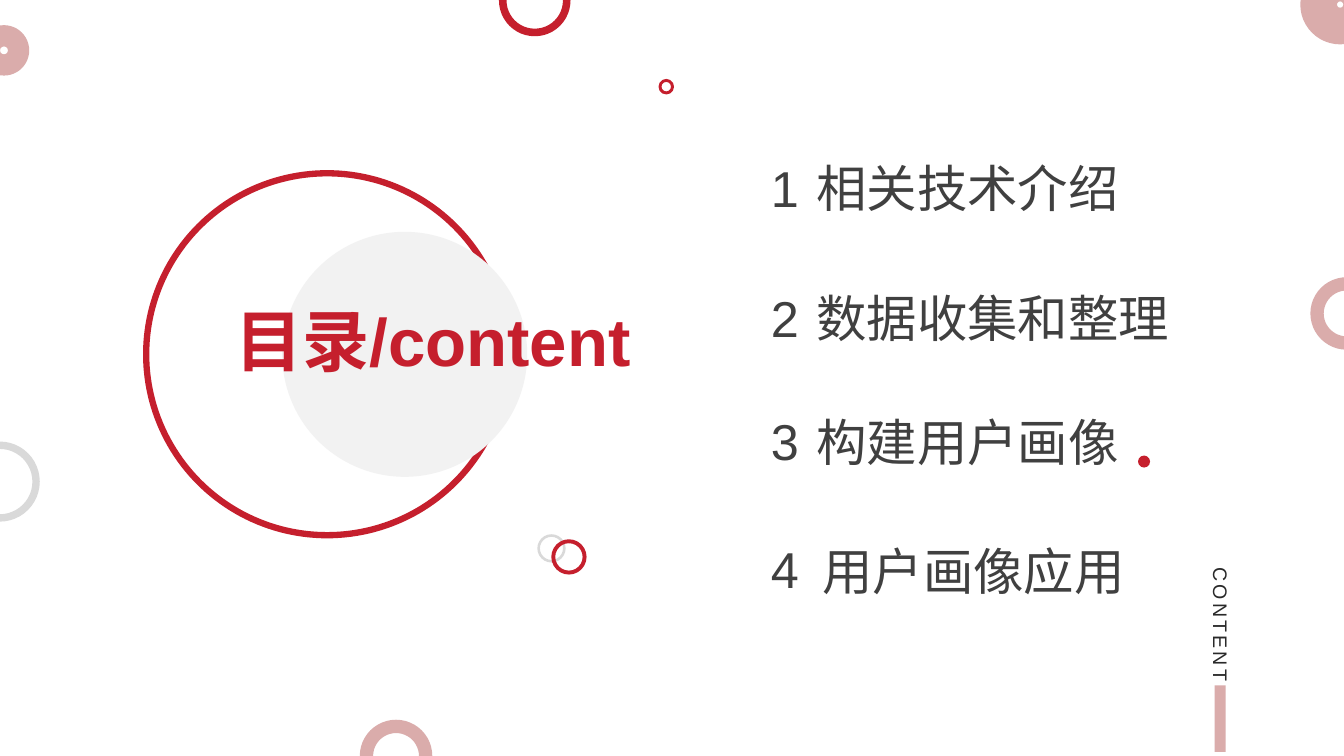
"""Build the table-of-contents slide with its ring decorations."""
from dataclasses import dataclass

from pptx import Presentation
from pptx.dml.color import RGBColor
from pptx.enum.shapes import MSO_SHAPE
from pptx.enum.text import MSO_AUTO_SIZE, PP_ALIGN
from pptx.shapes.autoshape import Shape
from pptx.slide import Slide
from pptx.util import Pt

RED = RGBColor(0xC5, 0x1F, 0x2D)
PINK = RGBColor(0xDA, 0xAC, 0xAB)
GREY = RGBColor(0xD9, 0xD9, 0xD9)
PALE = RGBColor(0xF2, 0xF2, 0xF2)
DARK = RGBColor(0x40, 0x40, 0x40)
INK = RGBColor(0x29, 0x29, 0x29)

ELLIPSE = MSO_SHAPE.OVAL
DONUT = MSO_SHAPE.DONUT
RECTANGLE = MSO_SHAPE.RECTANGLE
CENTER = PP_ALIGN.CENTER
FIT_SHAPE = MSO_AUTO_SIZE.SHAPE_TO_FIT_TEXT

FONT = "Arial"
NUMBER_LEFT = 543.6
ENTRY_HEIGHT = 51.1


@dataclass(frozen=True)
class Entry:
    """One line of the contents list."""
    title: str
    left: float
    top: float
    number_top: float


@dataclass(frozen=True)
class Ring:
    """A decorative ring; thickness is a share of its diameter."""
    left: float
    top: float
    diameter: float
    thickness: float
    color: RGBColor
    outline: float = 0


ENTRIES = [
    Entry("相关技术介绍", 576, 108.7, 108.7),
    Entry("数据收集和整理", 576, 201.6, 201.6),
    Entry("构建用户画像", 576, 290.2, 289.4),
    Entry("用户画像应用", 580.3, 382.3, 380.9),
]

RINGS = [
    Ring(-28.8, 315.4, 57.2, 0.092, GREY),
    Ring(383.8, 381.6, 20.2, 0.092, GREY),
    Ring(393.8, 385.2, 25.2, 0.112, RED),
    Ring(257, 514.1, 51.8, 0.184, PINK),
    Ring(-15.1, 18, 36, 0.421, PINK),
    Ring(356.4, -25.2, 51.1, 0.106, RED),
    Ring(470.9, 56.9, 10.1, 0.112, RED, 1),
    Ring(936, 198, 51.8, 0.184, PINK),
    Ring(928.8, -25.2, 56.9, 0.46, PINK),
]


def add_shape(slide: Slide, kind: MSO_SHAPE, left: float, top: float, width: float,
              height: float, fill: RGBColor | None, outline: float = 0) -> Shape:
    """Add a flat shape, with a red outline when a width is given."""
    shape = slide.shapes.add_shape(kind, Pt(left), Pt(top), Pt(width), Pt(height))
    shape.shadow.inherit = False
    if fill is None:
        shape.fill.background()
    else:
        shape.fill.solid()
        shape.fill.fore_color.rgb = fill
    if outline:
        shape.line.color.rgb = RED
        shape.line.width = Pt(outline)
    else:
        shape.line.fill.background()
    return shape


def add_text(slide: Slide, text: str, left: float, top: float, width: float,
             height: float, size: float, color: RGBColor, bold: bool = False) -> Shape:
    """Add a one-paragraph text box."""
    box = slide.shapes.add_textbox(Pt(left), Pt(top), Pt(width), Pt(height))
    frame = box.text_frame
    frame.word_wrap = True
    frame.auto_size = FIT_SHAPE
    paragraph = frame.paragraphs[0]
    paragraph.text = text
    paragraph.font.name = FONT
    paragraph.font.size = Pt(size)
    paragraph.font.bold = bold
    paragraph.font.color.rgb = color
    return box


def add_entry(slide: Slide, number: int, entry: Entry) -> None:
    """Add an entry's title and number."""
    add_text(slide, entry.title, entry.left, entry.top, 300, ENTRY_HEIGHT, 36, DARK)
    add_text(slide, str(number), NUMBER_LEFT, entry.number_top, 40, ENTRY_HEIGHT, 36, DARK)


def add_ring(slide: Slide, ring: Ring) -> None:
    """Add a decorative ring."""
    shape = add_shape(slide, DONUT, ring.left, ring.top, ring.diameter, ring.diameter,
                      ring.color, ring.outline)
    shape.adjustments[0] = ring.thickness


def add_side_label(slide: Slide) -> None:
    """Add the vertical label and the bar below it."""
    label = add_text(slide, "CONTENT", 857.5, 402.5, 28.1, 144.7, 14, INK)
    frame = label.text_frame
    frame.margin_left = frame.margin_right = Pt(5)
    frame.margin_top = frame.margin_bottom = Pt(2.9)
    frame._txBody.bodyPr.set("vert", "eaVert")
    frame.paragraphs[0].runs[0].font._element.set("spc", "220")
    add_shape(slide, RECTANGLE, 867.6, 489.6, 7.9, 47.5, PINK)


def main() -> None:
    """Build and save the presentation."""
    presentation = Presentation()
    presentation.slide_width = Pt(960)
    presentation.slide_height = Pt(540)
    slide = presentation.slides.add_slide(presentation.slide_layouts[6])

    add_shape(slide, ELLIPSE, 104.4, 123.8, 258.5, 258.5, None, 4.5)
    for number, entry in enumerate(ENTRIES, start=1):
        add_entry(slide, number, entry)
    add_side_label(slide)
    for ring in RINGS:
        add_ring(slide, ring)
    add_shape(slide, ELLIPSE, 812.9, 325.4, 8.6, 8.6, RED)
    add_shape(slide, ELLIPSE, 201.6, 165.6, 175, 175, PALE)
    heading = add_text(slide, "目录/content", 154.1, 210.2, 310.3, 65.5, 48, RED, bold=True)
    heading.text_frame.paragraphs[0].alignment = CENTER

    presentation.save("out.pptx")


if __name__ == "__main__":
    main()
